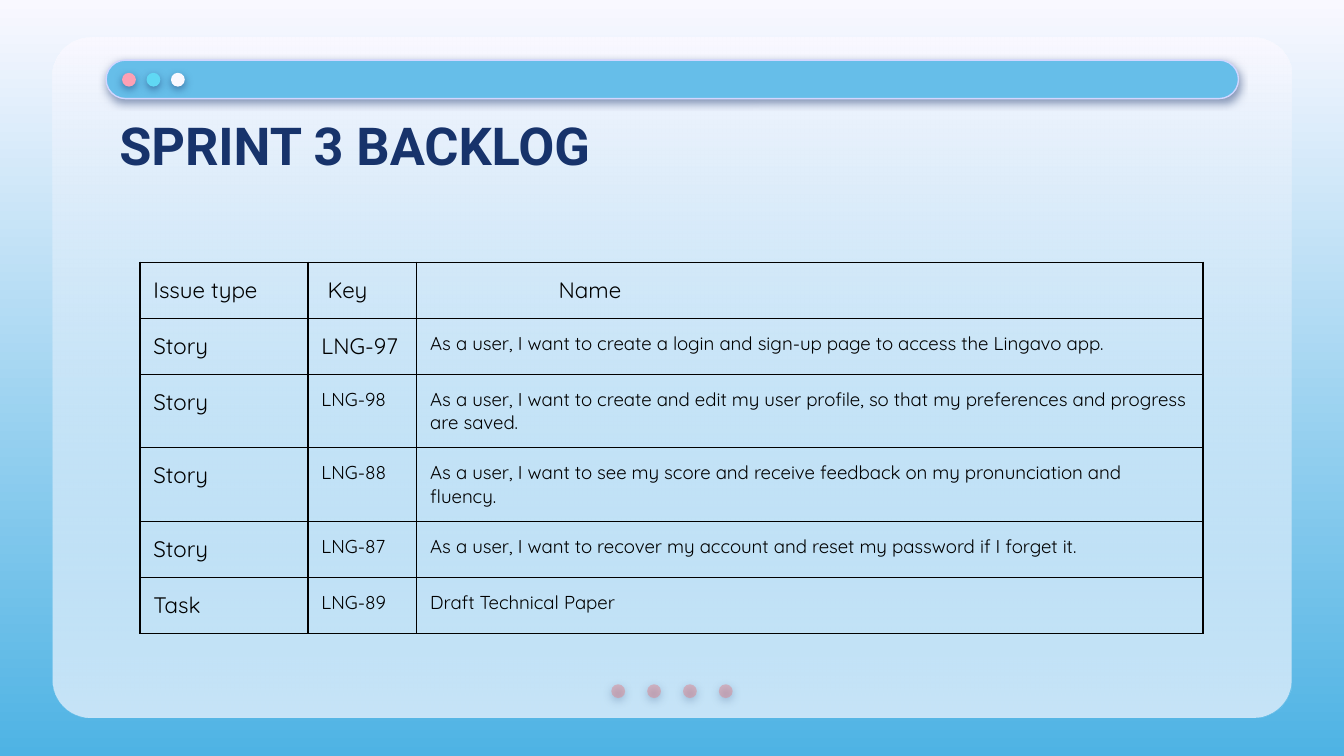
from lxml.etree import SubElement
from pptx import Presentation
from pptx.dml.color import RGBColor
from pptx.enum.shapes import MSO_SHAPE
from pptx.enum.text import MSO_ANCHOR
from pptx.oxml.ns import qn
from pptx.util import Pt

NAVY = RGBColor(0x17, 0x33, 0x6B)
SKY = RGBColor(0x66, 0xBE, 0xE9)
DEEP_SKY = RGBColor(0x4E, 0xB3, 0xE4)
GHOST = RGBColor(0xF9, 0xF8, 0xFF)
LAVENDER = RGBColor(0xD2, 0xD6, 0xFF)
PINK = RGBColor(0xFD, 0xA0, 0xB4)
AQUA = RGBColor(0x60, 0xD8, 0xF4)
ROSE = RGBColor(0xE2, 0x7B, 0x83)
BLACK = RGBColor(0, 0, 0)

DOT_SIZE = 7.4
CELL_MARGIN = 7.2
COLUMN_WIDTHS = (90, 58.3, 421.2)
HEADER_INDENTS = (0, 3.4, 68.8)
HEADERS = ("Issue type", "Key", "Name")
# Issue type, key, name, key text size, row height
ISSUES = (
    ("Story", "LNG-97", "As a user, I want to create a login and sign-up page to "
     "access the Lingavo app.", 12, 30),
    ("Story", "LNG-98", "As a user, I want to create and edit my user profile, so "
     "that my preferences and progress are saved.", 10, 39.4),
    ("Story", "LNG-88", "As a user, I want to see my score and receive feedback on "
     "my pronunciation and fluency.", 10, 39.4),
    ("Story", "LNG-87", "As a user, I want to recover my account and reset my "
     "password if I forget it.", 10, 30),
    ("Task", "LNG-89", "Draft Technical Paper", 10, 30),
)


def set_alpha(color_element, percent):
    SubElement(color_element, qn("a:alpha"), val=str(percent * 1000))


def fade_down(fill, top_color, bottom_color):
    fill.gradient()
    fill.gradient_angle = 270
    for stop, color, position in zip(fill.gradient_stops, (top_color, bottom_color), (0, 1)):
        stop.color.rgb = color
        stop.position = position


def add_plain_shape(slide, kind, left, top, width, height, color):
    shape = slide.shapes.add_shape(kind, Pt(left), Pt(top), Pt(width), Pt(height))
    shape.shadow.inherit = False
    shape.fill.solid()
    shape.fill.fore_color.rgb = color
    shape.line.fill.background()
    return shape


def add_soft_shadow(shape):
    effects = shape._element.spPr.find(qn("a:effectLst"))
    shadow = SubElement(effects, qn("a:outerShdw"), blurRad=str(Pt(4.5)),
                        dist=str(Pt(1.5)), dir="5400000", algn="bl", rotWithShape="0")
    set_alpha(SubElement(shadow, qn("a:srgbClr"), val=str(NAVY)), 50)


def add_dots(slide, center_x, center_y, step, colors, opacity=100):
    for index, color in enumerate(colors):
        dot = add_plain_shape(slide, MSO_SHAPE.OVAL, center_x + index * step - DOT_SIZE / 2,
                              center_y - DOT_SIZE / 2, DOT_SIZE, DOT_SIZE, color)
        if opacity < 100:
            set_alpha(dot._element.spPr.find(".//" + qn("a:srgbClr")), opacity)
        add_soft_shadow(dot)


def add_window(slide):
    for has_fade in (False, True):
        panel = add_plain_shape(slide, MSO_SHAPE.ROUNDED_RECTANGLE, 28.2, 20.2, 663.8, 364.4, GHOST)
        panel.adjustments[0] = 0.056
        if has_fade:
            fade_down(panel.fill, GHOST, SKY)
            set_alpha(panel._element.spPr.findall(".//" + qn("a:srgbClr"))[-1], 34)
    add_dots(slide, 331.2, 370.3, 19.2, [ROSE] * 4, opacity=44)

    title_bar = add_plain_shape(slide, MSO_SHAPE.ROUNDED_RECTANGLE, 56.9, 32.2, 606.6, 20.6, SKY)
    title_bar.adjustments[0] = 0.5
    title_bar.line.color.rgb = LAVENDER
    title_bar.line.width = Pt(0.75)
    add_soft_shadow(title_bar)
    add_dots(slide, 69.1, 42.7, 13.1, [PINK, AQUA, GHOST])


def style_font(font, name, size, color, bold=False):
    font.name = name
    font.size = Pt(size)
    font.color.rgb = color
    font.bold = bold


def add_title(slide, text):
    frame = slide.shapes.add_textbox(Pt(56.9), Pt(54.7), Pt(607), Pt(45.4)).text_frame
    frame.word_wrap = True
    frame.vertical_anchor = MSO_ANCHOR.MIDDLE
    frame.margin_left = frame.margin_right = frame.margin_top = frame.margin_bottom = Pt(7.2)
    frame.text = text
    style_font(frame.paragraphs[0].font, "Roboto", 28, NAVY, bold=True)


def add_borders(cell):
    properties = cell._tc.get_or_add_tcPr()
    for position, side in enumerate(("a:lnL", "a:lnR", "a:lnT", "a:lnB")):
        line = properties.makeelement(qn(side), {"w": str(Pt(0.75))})
        SubElement(SubElement(line, qn("a:solidFill")), qn("a:srgbClr"), val=str(BLACK))
        properties.insert(position, line)


def fill_cell(cell, text, size, indent=0):
    cell.fill.background()
    add_borders(cell)
    cell.margin_left = Pt(CELL_MARGIN + indent)
    cell.margin_right = cell.margin_top = cell.margin_bottom = Pt(CELL_MARGIN)
    cell.text = text
    style_font(cell.text_frame.paragraphs[0].font, "Quicksand", size, BLACK)


def add_backlog(slide):
    heights = [30] + [issue[-1] for issue in ISSUES]
    backlog = slide.shapes.add_table(len(heights), len(HEADERS), Pt(75), Pt(140.5),
                                     Pt(sum(COLUMN_WIDTHS)), Pt(sum(heights))).table
    backlog.first_row = False
    backlog.horz_banding = False
    for column, width in zip(backlog.columns, COLUMN_WIDTHS):
        column.width = Pt(width)
    for row, height in zip(backlog.rows, heights):
        row.height = Pt(height)
    for column, (header, indent) in enumerate(zip(HEADERS, HEADER_INDENTS)):
        fill_cell(backlog.cell(0, column), header, 12, indent)
    for row, (issue_type, key, name, key_size, _) in enumerate(ISSUES, start=1):
        fill_cell(backlog.cell(row, 0), issue_type, 12)
        fill_cell(backlog.cell(row, 1), key, key_size)
        fill_cell(backlog.cell(row, 2), name, 10)


def main():
    presentation = Presentation()
    presentation.slide_width = Pt(720)
    presentation.slide_height = Pt(405)
    slide = presentation.slides.add_slide(presentation.slide_layouts[6])
    fade_down(slide.background.fill, GHOST, DEEP_SKY)
    add_window(slide)
    add_title(slide, "SPRINT 3 BACKLOG")
    add_backlog(slide)
    presentation.save("out.pptx")


if __name__ == "__main__":
    main()
